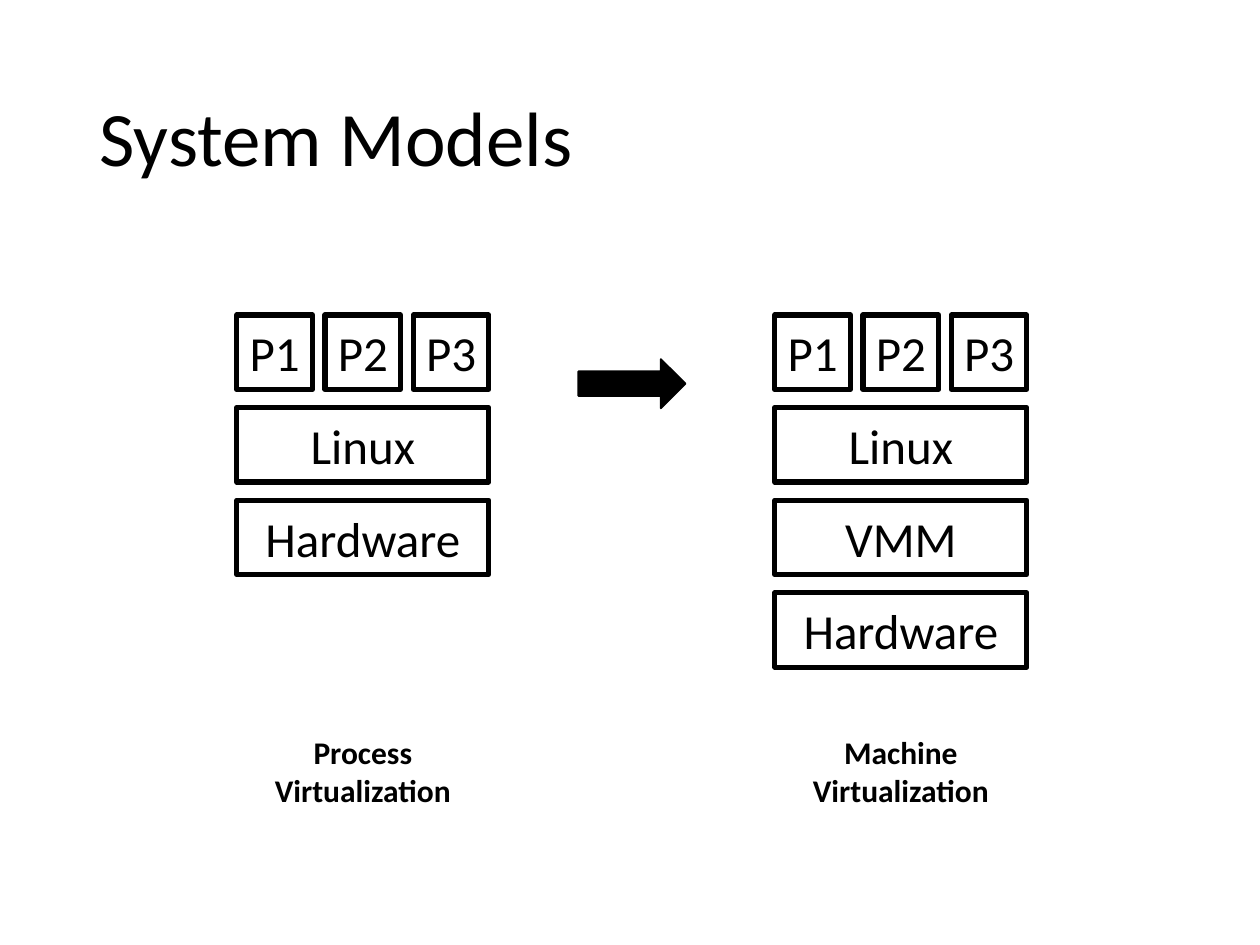
from pptx import Presentation
from pptx.dml.color import RGBColor
from pptx.enum.shapes import MSO_SHAPE
from pptx.enum.text import MSO_ANCHOR, MSO_AUTO_SIZE, PP_ALIGN
from pptx.util import Inches, Pt

RECTANGLE, RIGHT_ARROW = MSO_SHAPE.RECTANGLE, MSO_SHAPE.RIGHT_ARROW
MIDDLE = MSO_ANCHOR.MIDDLE
LEFT, CENTER = PP_ALIGN.LEFT, PP_ALIGN.CENTER
FIT_SHAPE, NO_FIT = MSO_AUTO_SIZE.SHAPE_TO_FIT_TEXT, MSO_AUTO_SIZE.NONE

FONT = "Calibri"
BLACK = "000000"

# Stack grid, in inches
STACK_TOP, STACK_WIDTH = 2.5, 2
LAYER_HEIGHT, LAYER_PITCH = 0.59, 0.735
PROCESS_WIDTH, PROCESS_PITCH = 0.6, 0.7
PROCESSES = ["P1", "P2", "P3"]
CAPTION_TOP, CAPTION_WIDTH, CAPTION_HEIGHT = 5.77, 1.61, 0.71

# Left edge, layers below the processes, caption lines
MODELS = [
    (1.88, ["Linux", "Hardware"], ["Process", "Virtualization"]),
    (6.15, ["Linux", "VMM", "Hardware"], ["Machine", "Virtualization"]),
]


def color(hex_value):
    return RGBColor.from_string(hex_value)


def write_line(paragraph, text, size, align=CENTER, bold=False):
    paragraph.alignment = align
    run = paragraph.add_run()
    run.text = text
    run.font.name = FONT
    run.font.size = Pt(size)
    run.font.bold = bold
    run.font.color.rgb = color(BLACK)


def add_title(slide, text):
    title = slide.shapes.title
    title.left, title.top = Inches(0.69), Inches(0.4)
    title.width, title.height = Inches(8.62), Inches(1.45)
    frame = title.text_frame
    frame.word_wrap = True
    frame.auto_size = NO_FIT
    frame.vertical_anchor = MIDDLE
    heading = frame.paragraphs[0]
    heading.line_spacing = 0.9
    write_line(heading, text, 44, LEFT)


def add_box(slide, left, top, width, label):
    box = slide.shapes.add_shape(RECTANGLE, Inches(left), Inches(top),
                                 Inches(width), Inches(LAYER_HEIGHT))
    box.shadow.inherit = False
    box.fill.background()
    box.line.color.rgb = color(BLACK)
    box.line.width = Pt(3)
    frame = box.text_frame
    frame.margin_left = frame.margin_right = Inches(0.05)
    frame.vertical_anchor = MIDDLE
    write_line(frame.paragraphs[0], label, 28)


def add_stack(slide, left, layers):
    for column, process in enumerate(PROCESSES):
        add_box(slide, left + column * PROCESS_PITCH, STACK_TOP,
                PROCESS_WIDTH, process)
    for row, layer in enumerate(layers, start=1):
        add_box(slide, left, STACK_TOP + row * LAYER_PITCH,
                STACK_WIDTH, layer)


def add_caption(slide, stack_left, lines):
    left = stack_left + (STACK_WIDTH - CAPTION_WIDTH) / 2
    caption = slide.shapes.add_textbox(Inches(left), Inches(CAPTION_TOP),
                                       Inches(CAPTION_WIDTH),
                                       Inches(CAPTION_HEIGHT))
    frame = caption.text_frame
    frame.word_wrap = False
    frame.auto_size = FIT_SHAPE
    for index, line in enumerate(lines):
        paragraph = frame.add_paragraph() if index else frame.paragraphs[0]
        write_line(paragraph, line, 18, bold=True)


def add_transition_arrow(slide):
    arrow = slide.shapes.add_shape(RIGHT_ARROW, Inches(4.59), Inches(2.85),
                                   Inches(0.85), Inches(0.39))
    arrow.shadow.inherit = False
    arrow.fill.solid()
    arrow.fill.fore_color.rgb = color(BLACK)
    arrow.line.color.rgb = color(BLACK)
    arrow.line.width = Pt(1)


def main():
    presentation = Presentation()
    presentation.slide_width = Inches(10)
    presentation.slide_height = Inches(7.5)
    slide = presentation.slides.add_slide(presentation.slide_layouts[5])

    add_title(slide, "System Models")
    # The two models, with the step from one to the other
    for left, layers, caption in MODELS:
        add_stack(slide, left, layers)
        add_caption(slide, left, caption)
    add_transition_arrow(slide)

    presentation.save("out.pptx")


if __name__ == "__main__":
    main()
